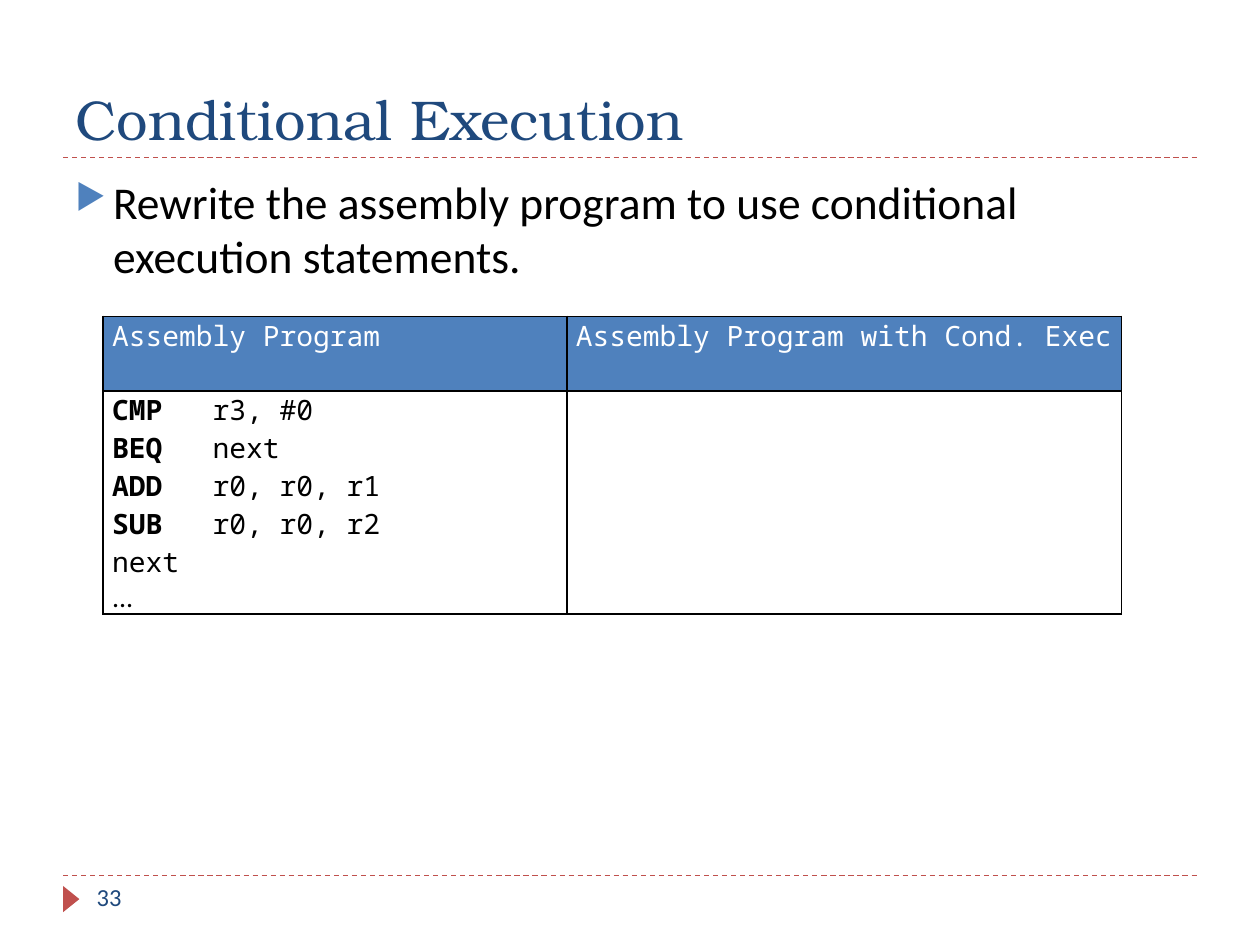
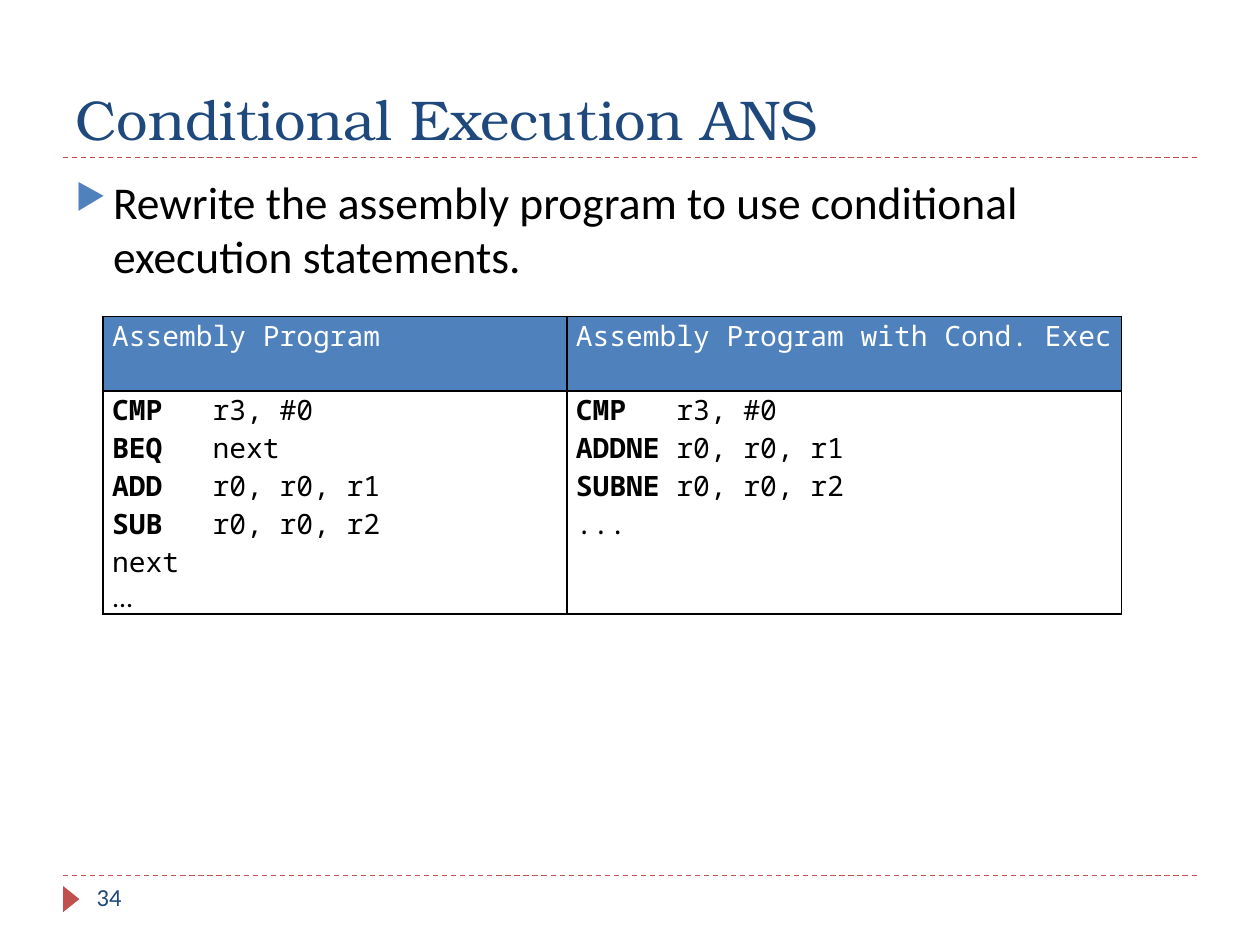
from lxml import etree
from pptx import Presentation
from pptx.dml.color import RGBColor
from pptx.enum.dml import MSO_LINE
from pptx.enum.shapes import MSO_CONNECTOR, MSO_SHAPE
from pptx.enum.text import MSO_ANCHOR, PP_ALIGN
from pptx.oxml.ns import qn
from pptx.util import Cm, Pt

STRAIGHT = MSO_CONNECTOR.STRAIGHT
TRIANGLE = MSO_SHAPE.ISOSCELES_TRIANGLE
DASH = MSO_LINE.DASH
TOP, BOTTOM = MSO_ANCHOR.TOP, MSO_ANCHOR.BOTTOM
JUSTIFY = PP_ALIGN.JUSTIFY

COLORS = {
    "title": "1F497D",
    "accent": "4F81BD",
    "rule": "C0504D",
    "text": "000000",
    "header_text": "FFFFFF",
}
TITLE_FONT, BODY_FONT, CODE_FONT = "TeX Gyre Bonum", "Calibri", "Noto Sans Mono"

LEFT, CONTENT_WIDTH = 1.27, 22.86
TITLE_RULE, FOOTER_RULE = 3.18, 17.65
OPERAND_COLUMN = 6

TASK = "Rewrite the assembly program to use conditional execution statements."
HEADERS = ["Assembly Program", "Assembly Program with Cond. Exec"]
BRANCH_CODE = [
    ("CMP", "r3, #0"),
    ("BEQ", "next"),
    ("ADD", "r0, r0, r1"),
    ("SUB", "r0, r0, r2"),
    ("", "next"),
    ("", "..."),
]
CONDITIONAL_CODE = [
    ("CMP", "r3, #0"),
    ("ADDNE", "r0, r0, r1"),
    ("SUBNE", "r0, r0, r2"),
    ("", "..."),
]


def color(name):
    return RGBColor.from_string(COLORS[name])


class Deck:
    """Holds the shared style and the slide being built."""

    def __init__(self):
        self.presentation = Presentation()
        self.presentation.slide_width = Cm(25.4)
        self.presentation.slide_height = Cm(19.05)
        self.slide = None

    def add_slide(self, title, number):
        layout = self.presentation.slide_layouts[6]
        self.slide = self.presentation.slides.add_slide(layout)
        for top in (FOOTER_RULE, TITLE_RULE):
            self.rule(top)
        self.footer_marker()
        self.text(title, (LEFT, 0.43, CONTENT_WIDTH, 2.75),
                  TITLE_FONT, 32, "title", BOTTOM)
        self.text(str(number), (1.7, FOOTER_RULE, 5.5, 1.02),
                  BODY_FONT, 14, "title")

    def rule(self, top):
        line = self.slide.shapes.add_connector(
            STRAIGHT, Cm(LEFT), Cm(top), Cm(LEFT + CONTENT_WIDTH), Cm(top))
        line.line.color.rgb = color("rule")
        line.line.width = Pt(0.75)
        line.line.dash_style = DASH
        etree.SubElement(line._element.spPr, qn("a:effectLst"))

    def footer_marker(self):
        marker = self.slide.shapes.add_shape(
            TRIANGLE, Cm(1.17), Cm(17.96), Cm(0.53), Cm(0.33))
        marker.rotation = 90
        marker.shadow.inherit = False
        marker.fill.solid()
        marker.fill.fore_color.rgb = color("rule")
        marker.line.fill.background()

    def style(self, paragraph, font, size, color_name):
        paragraph.font.name = font
        paragraph.font.size = Pt(size)
        paragraph.font.color.rgb = color(color_name)

    def text(self, words, box, font, size, color_name, anchor=TOP, bullet=False):
        shape = self.slide.shapes.add_textbox(*map(Cm, box))
        frame = shape.text_frame
        frame.word_wrap = True
        frame.vertical_anchor = anchor
        paragraph = frame.paragraphs[0]
        paragraph.text = words
        if bullet:
            self.bullet(paragraph)
        self.style(paragraph, font, size, color_name)

    def bullet(self, paragraph):
        properties = paragraph._p.get_or_add_pPr()
        properties.set("marL", str(Cm(0.76)))
        properties.set("indent", str(-Cm(0.76)))
        bullet_color = etree.SubElement(properties, qn("a:buClr"))
        etree.SubElement(bullet_color, qn("a:srgbClr"), val=COLORS["accent"])
        etree.SubElement(properties, qn("a:buSzPct"), val="76000")
        etree.SubElement(properties, qn("a:buChar"), char="▶")

    def body(self, words):
        self.text(words, (LEFT, 3.38, CONTENT_WIDTH, 2.97),
                  BODY_FONT, 26, "text", bullet=True)

    def code_table(self, headers, programs):
        widths, heights = (9.35, 11.18), (1.5, 4.5)
        table = self.slide.shapes.add_table(
            2, 2, Cm(2.08), Cm(6.38), Cm(sum(widths)), Cm(sum(heights))).table
        table.first_row = table.horz_banding = False
        for row, height in zip(table.rows, heights):
            row.height = Cm(height)
        for index, width in enumerate(widths):
            table.columns[index].width = Cm(width)
            self.header_cell(table.cell(0, index), headers[index])
            self.code_cell(table.cell(1, index), programs[index])

    def frame_cell(self, cell):
        """Set the insets and a thin border on all four sides."""
        cell.margin_left = cell.margin_right = Cm(0.18)
        cell.margin_top = cell.margin_bottom = 0
        properties = cell._tc.get_or_add_tcPr()
        for position, side in enumerate(("lnL", "lnR", "lnT", "lnB")):
            border = etree.Element(qn(f"a:{side}"), w=str(Pt(1)))
            fill = etree.SubElement(border, qn("a:solidFill"))
            etree.SubElement(fill, qn("a:srgbClr"), val=COLORS["text"])
            properties.insert(position, border)

    def header_cell(self, cell, words):
        self.frame_cell(cell)
        cell.fill.solid()
        cell.fill.fore_color.rgb = color("accent")
        paragraph = cell.text_frame.paragraphs[0]
        paragraph.text = words
        paragraph.alignment = JUSTIFY
        self.style(paragraph, CODE_FONT, 16, "header_text")

    def code_cell(self, cell, program):
        self.frame_cell(cell)
        cell.fill.background()
        frame = cell.text_frame
        for index, (mnemonic, operands) in enumerate(program):
            paragraph = frame.add_paragraph() if index else frame.paragraphs[0]
            if mnemonic:
                run = paragraph.add_run()
                run.text = mnemonic
                run.font.bold = True
                operands = " " * (OPERAND_COLUMN - len(mnemonic)) + operands
            paragraph.add_run().text = operands
            plain = program is BRANCH_CODE and operands == "..."
            self.style(paragraph, BODY_FONT if plain else CODE_FONT, 16, "text")


def main():
    deck = Deck()
    slides = [
        ("Conditional Execution", []),
        ("Conditional Execution ANS", CONDITIONAL_CODE),
    ]
    for number, (title, answer) in enumerate(slides, start=33):
        deck.add_slide(title, number)
        deck.body(TASK)
        deck.code_table(HEADERS, [BRANCH_CODE, answer])
    deck.presentation.save("out.pptx")


if __name__ == "__main__":
    main()
